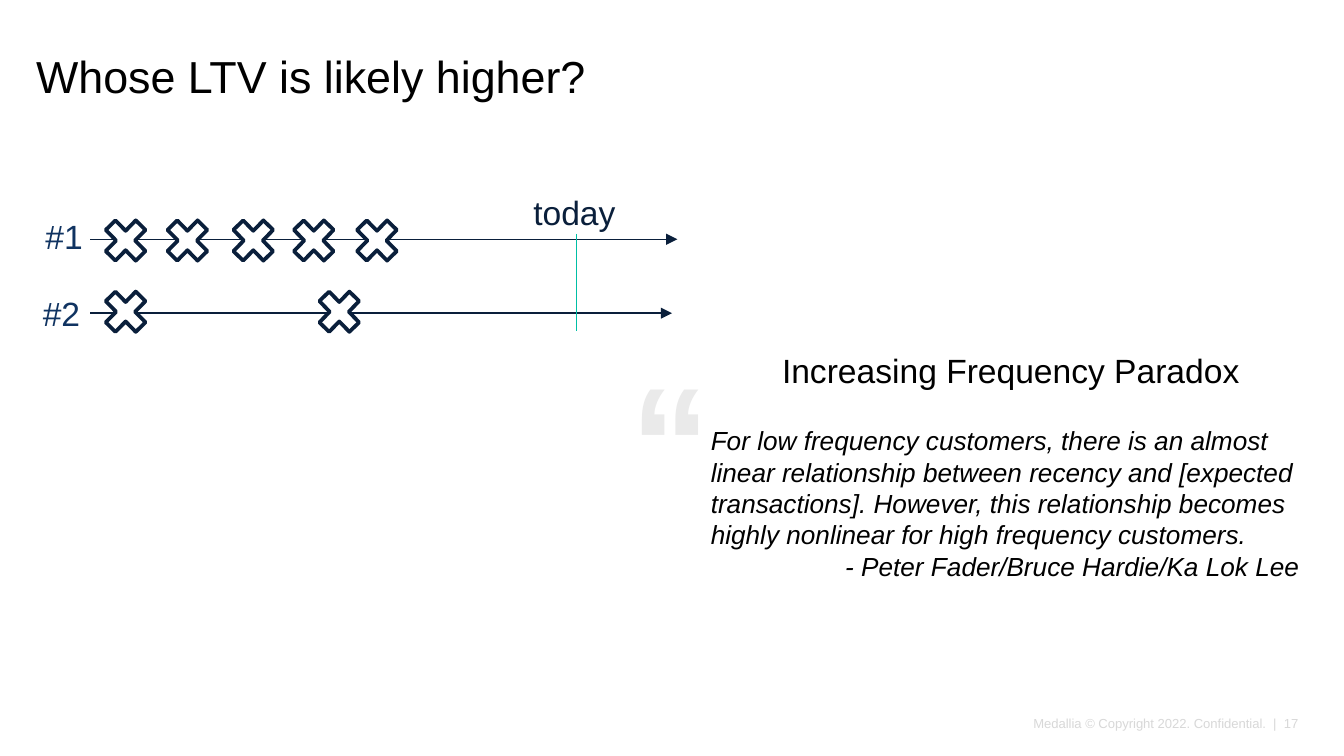
"""Build the slide that compares two customers' purchase timelines."""
from lxml import etree
from pptx import Presentation
from pptx.dml.color import RGBColor
from pptx.enum import shapes, text
from pptx.oxml import ns
from pptx.util import Inches, Pt

NAVY, TEAL, BLACK = "0A1F3B", "00BFA5", "000000"
PAD = 0.1
INDENT = 0.15
LABEL_INDENT = 0.22
AUTHOR_INDENT = 1.15
CROSS_WIDTH, CROSS_HEIGHT = 0.43, 0.44

FOOTER = "Medallia © Copyright 2022. Confidential.  |  17"
QUOTE = [
    "For low frequency customers, there is an almost linear relationship between "
    "recency and [expected transactions]. However, this relationship becomes "
    "highly nonlinear for high frequency customers.",
    "- Peter Fader/Bruce Hardie/Ka Lok Lee",
]
TIMELINES = [
    {"label": "#1", "label_at": (0.02, 1.51, 0.7, 0.46), "start": 0.67, "end": 5.04,
     "y": 1.78, "cross_top": 1.57, "purchases": [0.72, 1.18, 1.67, 2.12, 2.59]},
    {"label": "#2", "label_at": (0, 2.08, 0.74, 0.46), "start": 0.67, "end": 5,
     "y": 2.33, "cross_top": 2.1, "purchases": [0.72, 2.31]},
]
TODAY = {"x": 4.29, "top": 1.74, "bottom": 2.46}


def color(value):
    return RGBColor.from_string(value)


def add_text(page, place, lines, size, fill, indents=(INDENT,), pad=PAD, bold=False,
             italic=False, align=text.PP_ALIGN.LEFT, anchor=text.MSO_ANCHOR.TOP,
             spacing=None):
    box = page.shapes.add_textbox(*map(Inches, place))
    frame = box.text_frame
    frame.word_wrap = True
    frame.vertical_anchor = anchor
    frame.margin_left = frame.margin_right = Inches(pad)
    frame.margin_top = frame.margin_bottom = Inches(pad)
    frame.text = "\n".join(lines)
    for para, indent in zip(frame.paragraphs, indents):
        para.alignment = align
        para.line_spacing = spacing
        para._p.get_or_add_pPr().set("marL", str(Inches(indent)))
        for span in para.runs:
            span.font.name = "Arial"
            span.font.size = Pt(size)
            span.font.bold = bold
            span.font.italic = italic
            span.font.color.rgb = color(fill)


def add_line(page, start, end, stroke, arrow=False):
    line = page.shapes.add_connector(
        shapes.MSO_CONNECTOR.STRAIGHT, *map(Inches, (*start, *end)))
    line.line.color.rgb = color(stroke)
    line.line.width = Pt(0.75)
    if arrow:
        etree.SubElement(line.line._get_or_add_ln(), ns.qn("a:tailEnd"), type="triangle")
    etree.SubElement(line._element.spPr, ns.qn("a:effectLst"))


def add_cross(page, left, top):
    cross = page.shapes.add_shape(
        shapes.MSO_SHAPE.MATH_MULTIPLY,
        *map(Inches, (left, top, CROSS_WIDTH, CROSS_HEIGHT)))
    cross.shadow.inherit = False
    cross.fill.solid()
    cross.fill.fore_color.rgb = color("FFFFFF")
    cross.line.color.rgb = color(NAVY)
    cross.line.width = Pt(2)


def main():
    deck = Presentation()
    deck.slide_width = Inches(10)
    deck.slide_height = deck.slide_width * 9 // 16
    page = deck.slides.add_slide(deck.slide_layouts[6])

    add_text(page, (6.76, 5.26, 2.9, 0.24), [FOOTER], 7, "D8D8D8", indents=(0,), pad=0,
             align=text.PP_ALIGN.RIGHT, anchor=text.MSO_ANCHOR.MIDDLE)
    for row in TIMELINES:
        add_line(page, (row["start"], row["y"]), (row["end"], row["y"]), NAVY, arrow=True)
        add_text(page, row["label_at"], [row["label"]], 18, "103361",
                 indents=(LABEL_INDENT,))
    add_line(page, (TODAY["x"], TODAY["top"]), (TODAY["x"], TODAY["bottom"]), TEAL)
    add_text(page, (3.72, 1.33, 1.14, 0.48), ["today"], 18, NAVY)
    add_text(page, (0.02, 0.26, 5.45, 3.74), ["Whose LTV is likely higher?"], 24, BLACK)
    add_text(page, (5.04, 3.06, 4.79, 1.44), QUOTE, 14, BLACK,
             indents=(INDENT, AUTHOR_INDENT), italic=True)
    add_text(page, (4.59, 2.59, 0.62, 0.54), ["“"], 86, "EAEAEA", indents=(0,),
             bold=True, spacing=0.9)
    add_text(page, (5.57, 2.5, 4.79, 0.89), ["Increasing Frequency Paradox"], 18, BLACK)
    for row in TIMELINES:
        for left in row["purchases"]:
            add_cross(page, left, row["cross_top"])

    deck.save("out.pptx")


if __name__ == "__main__":
    main()
